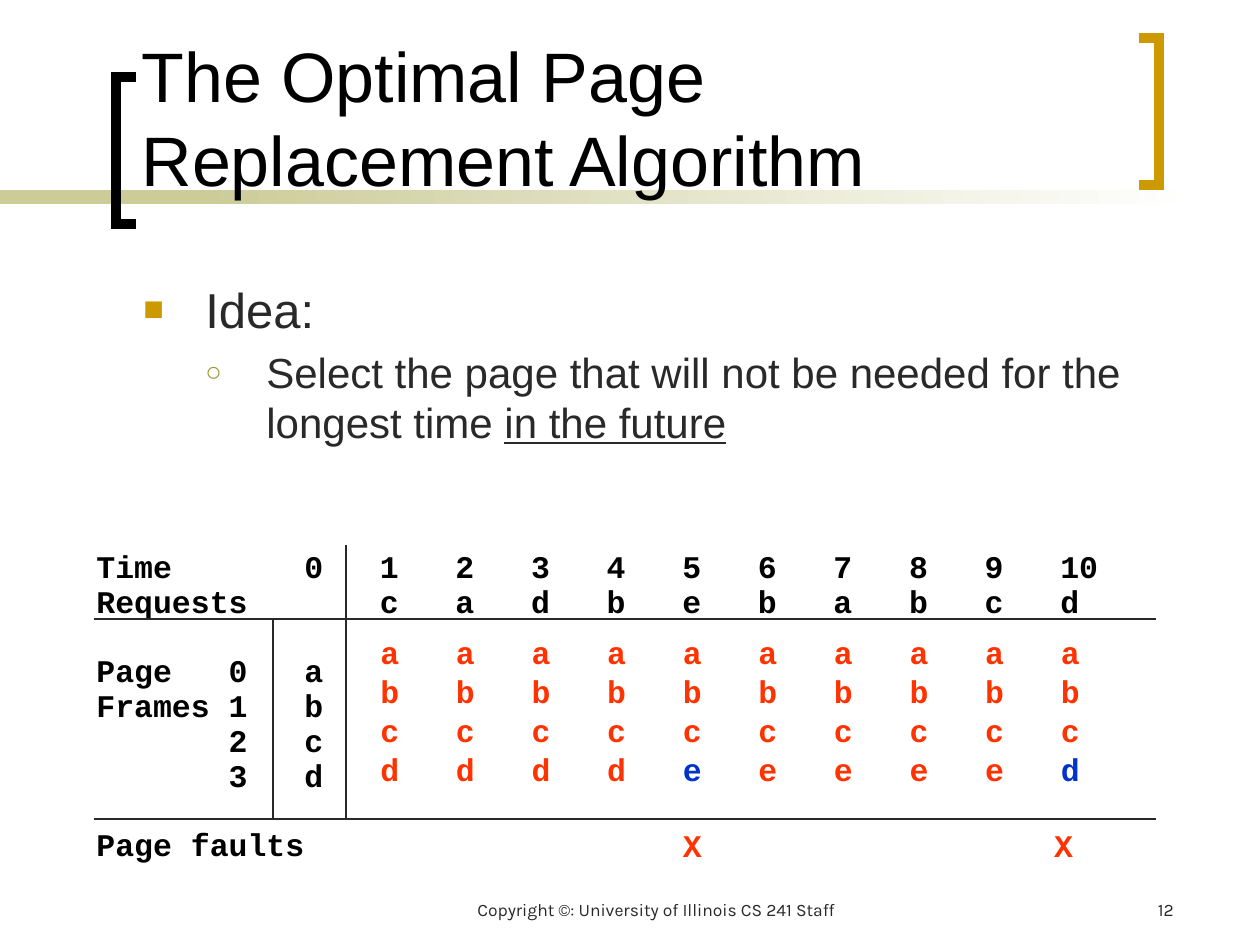
import pptx
import pptx.util
import pptx.dml.color
import pptx.enum.shapes
import pptx.enum.text
import pptx.oxml.ns
import lxml.etree

RGBColor = pptx.dml.color.RGBColor
Align = pptx.enum.text.PP_ALIGN
Anchor = pptx.enum.text.MSO_ANCHOR

BLACK = RGBColor(0x00, 0x00, 0x00)
WHITE = RGBColor(0xFF, 0xFF, 0xFF)
INK = RGBColor(0x29, 0x29, 0x29)
GOLD = RGBColor(0xCC, 0x99, 0x00)
OLIVE = RGBColor(0x99, 0x99, 0x33)
SAND = RGBColor(0xCC, 0xCC, 0x99)
RED = RGBColor(0xFF, 0x33, 0x00)
BLUE = RGBColor(0x00, 0x33, 0xCC)

SCALE = 914400 / 126
CHAR = 18.9


def px(length):
    return pptx.util.Emu(round(length * SCALE))


def add_xml(parent, tag, **attributes):
    return lxml.etree.SubElement(
        parent, pptx.oxml.ns.qn(tag), {name: str(value) for name, value in attributes.items()})


class SlideWriter:
    sans = "Arial"
    mono = "Courier New"
    small = "Karla"

    def __init__(self, deck):
        self.page = deck.slides.add_slide(deck.slide_layouts[5])
        self.shapes = self.page.shapes

    def style(self, span, font, size, color, bold=False):
        span.font.name = font
        span.font.size = pptx.util.Pt(size)
        span.font.color.rgb = color
        span.font.bold = bold

    def band(self, left, top, width, height, start, end):
        bar = self.shapes.add_shape(
            pptx.enum.shapes.MSO_SHAPE.RECTANGLE, px(left), px(top), px(width), px(height))
        bar.shadow.inherit = False
        bar.line.fill.background()
        bar.fill.gradient()
        bar.fill.gradient_angle = 0
        for stop, color in zip(bar.fill.gradient_stops, (start, end)):
            stop.color.rgb = color

    def bracket(self, tip, spine, top, bottom, color):
        outline = self.shapes.build_freeform(px(tip), px(top))
        corners = [(spine, top), (spine, bottom), (tip, bottom)]
        outline.add_line_segments([(px(x), px(y)) for x, y in corners], close=False)
        shape = outline.convert_to_shape()
        shape.shadow.inherit = False
        shape.fill.background()
        shape.line.color.rgb = color
        shape.line.width = pptx.util.Pt(6)
        add_xml(shape._element.spPr.find(pptx.oxml.ns.qn("a:ln")), "a:miter", lim=800000)

    def title(self, text, left, top, width, height):
        box = self.shapes.title
        box._element.getparent().append(box._element)
        box.left, box.top, box.width, box.height = map(px, (left, top, width, height))
        frame = box.text_frame
        frame.text = text
        frame.word_wrap = True
        frame.vertical_anchor = Anchor.BOTTOM
        para = frame.paragraphs[0]
        para.alignment = Align.LEFT
        para.line_spacing = 1.0
        self.style(para.runs[0], self.sans, 40, BLACK)

    def text_box(self, left, top, width, height):
        box = self.shapes.add_textbox(px(left), px(top), px(width), px(height))
        box.text_frame.word_wrap = True
        return box.text_frame

    def label(self, text, left, top, width, height, align):
        frame = self.text_box(left, top, width, height)
        frame.text = text
        frame.paragraphs[0].alignment = align
        self.style(frame.paragraphs[0].runs[0], self.small, 10, INK)

    def bullet(self, para, text, size, mark, color, percent, margin, hang):
        para.text = text
        para.space_before = pptx.util.Pt(size * 0.2)
        props = para._p.get_or_add_pPr()
        props.set("marL", str(px(margin)))
        props.set("indent", str(-px(hang)))
        add_xml(add_xml(props, "a:buClr"), "a:srgbClr", val=color)
        add_xml(props, "a:buSzPct", val=percent * 1000)
        add_xml(props, "a:buFont", typeface=self.sans)
        add_xml(props, "a:buChar", char=mark)
        self.style(para.runs[0], self.sans, size, INK)

    def listing(self, left, top, width, height, spacing, rows, color):
        frame = self.text_box(left, top, width, height)
        for index, (gap, stops, spans) in enumerate(rows):
            para = frame.add_paragraph() if index else frame.paragraphs[0]
            para.line_spacing = spacing
            para.space_before = pptx.util.Pt(gap)
            tabs = add_xml(para._p.get_or_add_pPr(), "a:tabLst")
            for stop in stops:
                add_xml(tabs, "a:tab", pos=px(stop * CHAR), algn="l")
            for text, accent in spans:
                span = para.add_run()
                span.text = text
                self.style(span, self.mono, 18, accent or color, True)

    def rule(self, x1, y1, x2, y2):
        line = self.shapes.add_connector(
            pptx.enum.shapes.MSO_CONNECTOR.STRAIGHT, px(x1), px(y1), px(x2), px(y2))
        line.line.color.rgb = INK
        line.line.width = pptx.util.Pt(1)
        add_xml(line._element.spPr, "a:effectLst")


def main():
    deck = pptx.Presentation()
    deck.slide_width, deck.slide_height = px(1260), px(945)
    writer = SlideWriter(deck)

    writer.band(0, 190, 294, 14, SAND, SAND)
    writer.band(199, 190, 998, 14, SAND, WHITE)
    writer.bracket(136, 116, 77, 224, BLACK)
    writer.bracket(1139, 1159, 38, 185, GOLD)
    writer.title("The Optimal Page Replacement Algorithm", 129, 12, 987, 195)

    body = writer.text_box(131, 273, 1056, 190)
    writer.bullet(body.paragraphs[0], "Idea:", 28, "■", GOLD, 70, 62, 62)
    idea = body.add_paragraph()
    writer.bullet(idea, "Select the page that will not be needed for the longest time ",
                  24, "○", OLIVE, 65, 123, 61)
    stress = idea.add_run()
    stress.text = "in the future"
    writer.style(stress, writer.sans, 24, INK)
    stress.font.underline = True

    times = "\t".join(str(time) for time in range(11))
    requests = "\t".join("cadbebabcd")
    columns = [11 + 4 * step for step in range(11)]
    rows = [(0, columns, [("Time\t" + times, None)]),
            (9.2, columns[1:], [("Requests\t" + requests, None)])]
    for number, (name, content) in enumerate(zip(("Page", "Frames", "", ""), "abcd")):
        rows.append((9.2 if number else 28.8, (7, 11), [(f"{name}\t{number}\t{content}", None)]))
    rows.append((28.8, (), [("Page faults", None)]))
    writer.listing(84, 557, 1103, 310, 0.5, rows, BLACK)

    for edge in (619, 819):
        writer.rule(94, edge, 1156, edge)
    writer.rule(346, 545, 346, 819)
    writer.rule(273, 619, 273, 819)

    steps = [4 * step for step in range(1, 10)]
    frames = [(9.4 if index else 0, steps, [("\t".join(letter * 10), None)])
              for index, letter in enumerate("abc")]
    frames.append((9.4, steps, [("d\td\td\td\t", None), ("e", BLUE),
                                ("\te\te\te\te\t", None), ("d", BLUE)]))
    frames.append((30.4, (16, 35.65), [("\tX\tX", None)]))
    writer.listing(368, 640, 840, 250, 0.6, frames, RED)

    writer.label("Copyright ©: University of Illinois CS 241 Staff", 388, 893, 536, 32, Align.CENTER)
    writer.label("12", 924, 893, 262, 32, Align.RIGHT)
    deck.save("out.pptx")


if __name__ == "__main__":
    main()
